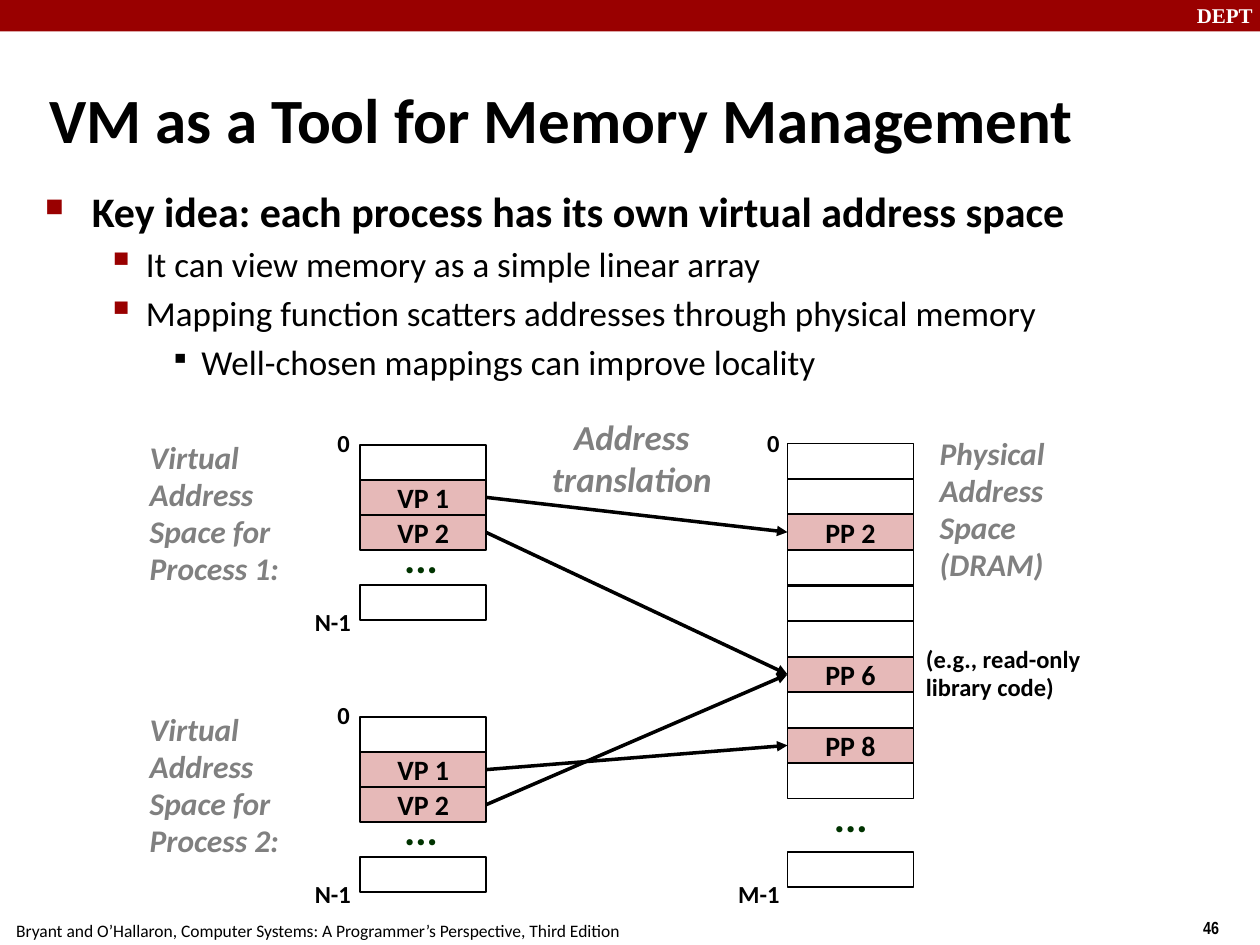
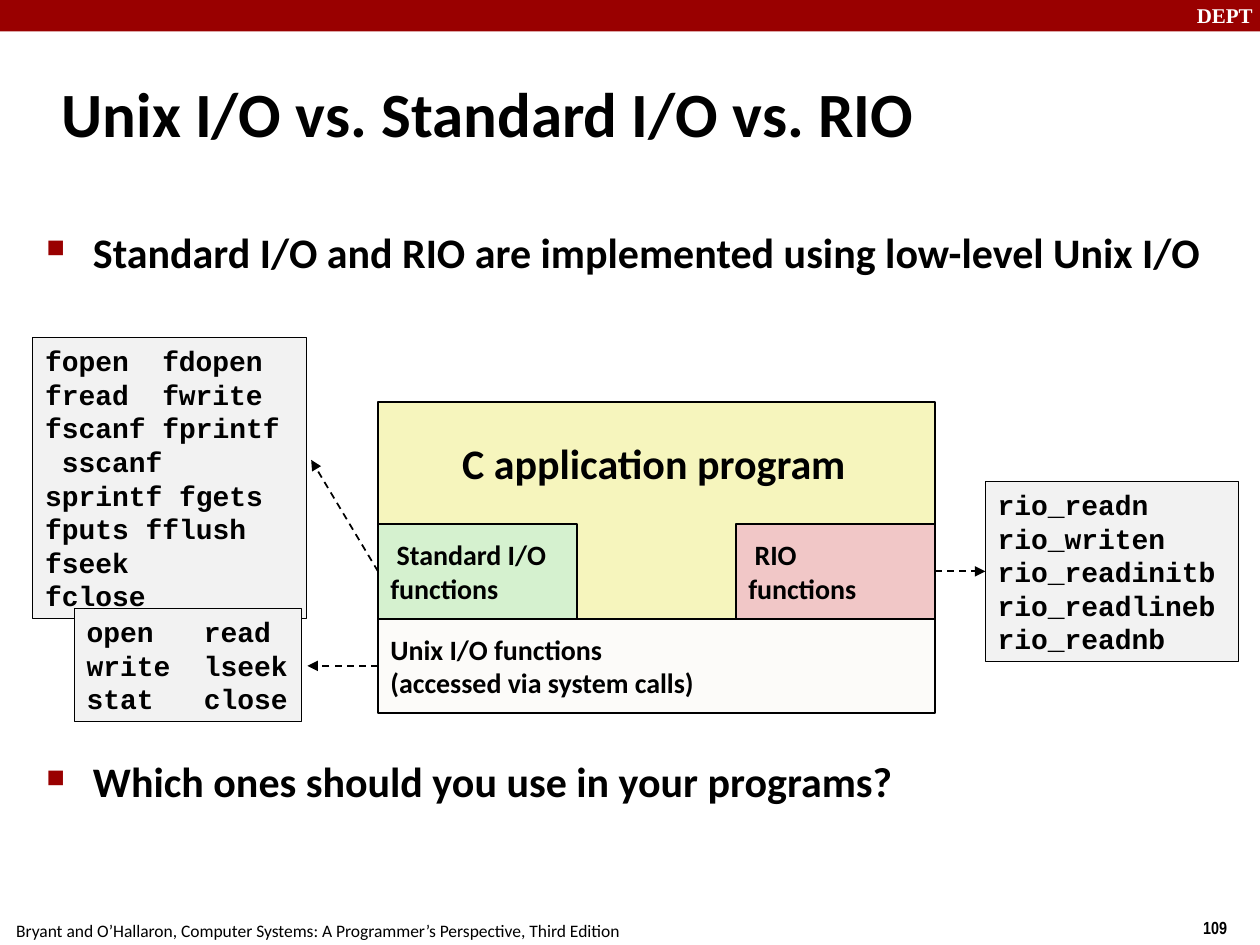
"""Build two lecture slides on virtual memory and Unix I/O."""
from dataclasses import dataclass

from lxml.etree import SubElement
from pptx import Presentation
from pptx.dml.color import RGBColor
from pptx.enum.dml import MSO_LINE_DASH_STYLE as Dash
from pptx.enum.shapes import MSO_CONNECTOR as Connector, MSO_SHAPE as Preset
from pptx.enum.text import MSO_ANCHOR as Anchor, MSO_AUTO_SIZE as AutoSize, PP_ALIGN as Align
from pptx.oxml.ns import qn
from pptx.util import Inches, Pt


@dataclass(frozen=True)
class Theme:
    """Colours, fonts, type sizes and bullet levels."""
    red: str = "990000"
    white: str = "FFFFFF"
    black: str = "000000"
    grey: str = "808080"
    dots: str = "003300"
    page: str = "E6B9B8"
    application: str = "F6F5BD"
    unix: str = "FCFBF9"
    standard: str = "D5F1CF"
    rio: str = "F1C7C7"
    code: str = "F2F2F2"
    body_font: str = "Calibri"
    code_font: str = "Courier New"
    number_font: str = "Arial Narrow"
    brand_font: str = "Times New Roman"
    title: int = 36
    key: int = 24
    point: int = 20
    caption: int = 18
    box: int = 16
    label: int = 14
    brand: int = 12
    footer: int = 10
    bullets: tuple = (
        ("■", "990000", 60, 0.38, -0.37, 24, True, 4.8),
        ("▪", "990000", 110, 0.81, -0.31, 20, False, 4),
        ("▪", "000000", 80, 1.25, -0.25, 20, False, 4),
    )


theme = Theme()
prs = Presentation()
prs.slide_width, prs.slide_height = Inches(10), Inches(7.5)
CELL = prs.slide_width // 100


def write(slide, text, at, size=theme.box, font=theme.body_font, color=theme.black,
          bold=True, italic=False, align=Align.LEFT, anchor=Anchor.TOP, wrap=True,
          fill=None, line=0, levels=(), spacing=None, before=None, tab=None, shape=None):
    """Write text at grid cells, in a box when a fill or line is given."""
    left, top, width, height = (round(cells * CELL) for cells in at)
    if shape is not None:
        shape.left, shape.top, shape.width, shape.height = left, top, width, height
    elif fill or line:
        shape = slide.shapes.add_shape(Preset.RECTANGLE, left, top, width, height)
        shape.shadow.inherit = False
        shape.fill.background()
        shape.line.fill.background()
    else:
        shape = slide.shapes.add_textbox(left, top, width, height)
    if fill:
        shape.fill.solid()
        shape.fill.fore_color.rgb = RGBColor.from_string(fill)
    if line:
        shape.line.color.rgb = RGBColor.from_string(theme.black)
        shape.line.width = Pt(line)
    frame = shape.text_frame
    frame.auto_size, frame.word_wrap, frame.vertical_anchor = AutoSize.NONE, wrap, anchor
    for i, content in enumerate(text.splitlines()):
        paragraph = frame.add_paragraph() if i else frame.paragraphs[0]
        paragraph.alignment = align
        if spacing:
            paragraph.line_spacing = spacing
        if before:
            paragraph.space_before = Pt(before)
        properties = paragraph._p.get_or_add_pPr()
        if levels:
            mark, mark_color, percent, margin, hang, size, bold, gap = theme.bullets[levels[i]]
            paragraph.level = levels[i]
            paragraph.space_before = Pt(gap)
            properties.set("marL", str(Inches(margin)))
            properties.set("indent", str(Inches(hang)))
            SubElement(SubElement(properties, qn("a:buClr")), qn("a:srgbClr"), val=mark_color)
            SubElement(properties, qn("a:buSzPct"), val=str(percent * 1000))
            SubElement(properties, qn("a:buChar"), char=mark)
        if tab:
            stops = SubElement(properties, qn("a:tabLst"))
            SubElement(stops, qn("a:tab"), pos=str(Inches(tab)), algn="l")
        run = paragraph.add_run()
        run.text = content
        run.font.name, run.font.size = font, Pt(size)
        run.font.bold, run.font.italic = bold, italic
        run.font.color.rgb = RGBColor.from_string(color)
    return shape


def arrow(slide, source, side, target=None, tip=(0, 0), width=1, dash=None):
    """Draw an arrow from a side of source to the left of target or to a tip."""
    x, y = (round(cells * CELL) for cells in tip)
    link = slide.shapes.add_connector(Connector.STRAIGHT, x, y, x, y)
    link.begin_connect(source, side)
    if target is not None:
        link.end_connect(target, 1)
    link.line.color.rgb = RGBColor.from_string(theme.black)
    link.line.width = Pt(width)
    if dash:
        link.line.dash_style = dash
    SubElement(link.line._get_or_add_ln(), qn("a:tailEnd"), type="triangle")
    SubElement(link._element.spPr, qn("a:effectLst"))


slides = []
for title, title_at, number in (
    ("VM as a Tool for Memory Management", (2.9, 6.2, 94.2, 6.3), "46"),
    ("Unix I/O vs. Standard I/O vs. RIO", (3.9, 4.8, 83, 8.3), "109"),
):
    slide = prs.slides.add_slide(prs.slide_layouts[5])
    write(slide, "", (0, 0, 100, 2.5), fill=theme.red)
    write(slide, "DEPT", (94, -0.3, 6, 3), size=theme.brand, font=theme.brand_font,
          color=theme.white, wrap=False)
    write(slide, number, (94.5, 72.3, 5.5, 2.9), size=theme.footer, font=theme.number_font)
    write(slide, "Bryant and O’Hallaron, Computer Systems: A Programmer’s Perspective, Third Edition",
          (0.3, 72.5, 49.9, 2.6), size=theme.footer, bold=False, wrap=False)
    write(slide, title, title_at, size=theme.title, anchor=Anchor.MIDDLE,
          shape=slide.shapes.title)
    slides.append(slide)
memory, unix_io = slides

write(memory, "Key idea: each process has its own virtual address space\n"
      "It can view memory as a simple linear array\n"
      "Mapping function scatters addresses through physical memory\n"
      "Well-chosen mappings can improve locality", (2.5, 14.2, 85.8, 13.7), levels=(0, 1, 1, 2))

caption = dict(size=theme.caption, color=theme.grey, italic=True, spacing=0.98)
label = dict(size=theme.label, spacing=0.98, wrap=False)
ellipsis = dict(size=theme.key, color=theme.dots, spacing=0.88, before=9, wrap=False)

PAGE_W, PAGE_H = 10, 2.8
VIRTUAL_X, PHYSICAL_X = 28.6, 62.5
PROCESS_TOPS = (35.3, 56.9)
pages = {}
spaces = [(process, VIRTUAL_X, top, 2.78, {0: "", 1: "VP 1", 2: "VP 2", 4: ""})
          for process, top in enumerate(PROCESS_TOPS, 1)]
physical = {row: "" for row in (*range(10), 11.5)} | {2: "PP 2", 6: "PP 6", 8: "PP 8"}
spaces.append(("DRAM", PHYSICAL_X, 35.2, 2.82, physical))
for space, x, top, step, rows in spaces:
    for row, name in rows.items():
        pages[space, name] = write(
            memory, name, (x, top + row * step, PAGE_W, PAGE_H), align=Align.CENTER,
            anchor=Anchor.MIDDLE, fill=theme.page if name else None, line=1)

for process, top in enumerate(PROCESS_TOPS, 1):
    write(memory, f"Virtual Address Space for Process {process}:",
          (10.9, top - 0.9, 15, 12.8), **caption)
    write(memory, "0", (25.8, top - 1.7, 3, 3.3), **label)
    write(memory, "N-1", (24, top + 12.5, 4.9, 3.3), **label)
    write(memory, "...", (31.1, top + 6.9, 4.6, 5), **ellipsis)
write(memory, "Physical\nAddress\nSpace (DRAM)", (73.6, 34.1, 11.7, 12.8), **caption)
write(memory, "0", (59.9, 33.6, 3, 3.3), **label)
write(memory, "M-1", (57.6, 69.4, 5.3, 3.3), **label)
write(memory, "...", (65.2, 62.8, 4.6, 5), **ellipsis)
write(memory, "(e.g., read-only\nlibrary code)", (72.5, 50.7, 15.8, 5.6), **label)
write(memory, "Address\ntranslation", (42.8, 32.5, 14.7, 7.7), size=theme.point,
      color=theme.grey, italic=True, align=Align.CENTER, wrap=False)

for process, virtual, frame_name in ((1, "VP 1", "PP 2"), (1, "VP 2", "PP 6"),
                                     (2, "VP 2", "PP 6"), (2, "VP 1", "PP 8")):
    arrow(memory, pages[process, virtual], 3, pages["DRAM", frame_name], width=2)

for point, top in (("Standard I/O and RIO are implemented using low-level Unix I/O", 17.5),
                   ("Which ones should you use in your programs?", 59.5)):
    write(unix_io, point, (2.6, top, 95.7, 6), levels=(0,))

APP_X, APP_W, LAYER_Y, LAYER_H, LIBRARY_W = 30, 44.2, 49.1, 7.5, 15.8
layer = dict(anchor=Anchor.MIDDLE, line=1)
write(unix_io, "", (APP_X, 31.9, APP_W, LAYER_Y - 31.9), fill=theme.application, line=1)
write(unix_io, "C application program", (35.7, 34.2, 32.4, 5), size=theme.key, wrap=False)
unix_layer = write(unix_io, "Unix I/O functions\n(accessed via system calls)",
                   (APP_X, LAYER_Y, APP_W, LAYER_H), fill=theme.unix, **layer)
standard_layer = write(unix_io, " Standard I/O\nfunctions",
                       (APP_X, LAYER_Y - LAYER_H, LIBRARY_W, LAYER_H),
                       fill=theme.standard, **layer)
rio_layer = write(unix_io, " RIO\nfunctions",
                  (APP_X + APP_W - LIBRARY_W, LAYER_Y - LAYER_H, LIBRARY_W, LAYER_H),
                  fill=theme.rio, **layer)

code = dict(font=theme.code_font, fill=theme.code, line=0.5, tab=0.93)
write(unix_io, "fopen\tfdopen\nfread\tfwrite\nfscanf fprintf\n sscanf\nsprintf fgets\n"
      "fputs fflush\nfseek\nfclose", (2.6, 26.8, 21.7, 22.3), **code)
write(unix_io, "open\tread\nwrite\tlseek\nstat\tclose", (5.9, 48.3, 18, 9), wrap=False, **code)
rio_calls = write(unix_io, "rio_readn\nrio_writen\nrio_readinitb\nrio_readlineb\nrio_readnb",
                  (78.2, 38.2, 20.1, 14.3), **code)

arrow(unix_io, unix_layer, 1, tip=(24.4, LAYER_Y + LAYER_H / 2), dash=Dash.DASH)
arrow(unix_io, standard_layer, 1, tip=(24.7, 36.5), dash=Dash.DASH)
arrow(unix_io, rio_layer, 3, rio_calls, dash=Dash.DASH)

prs.save("out.pptx")
